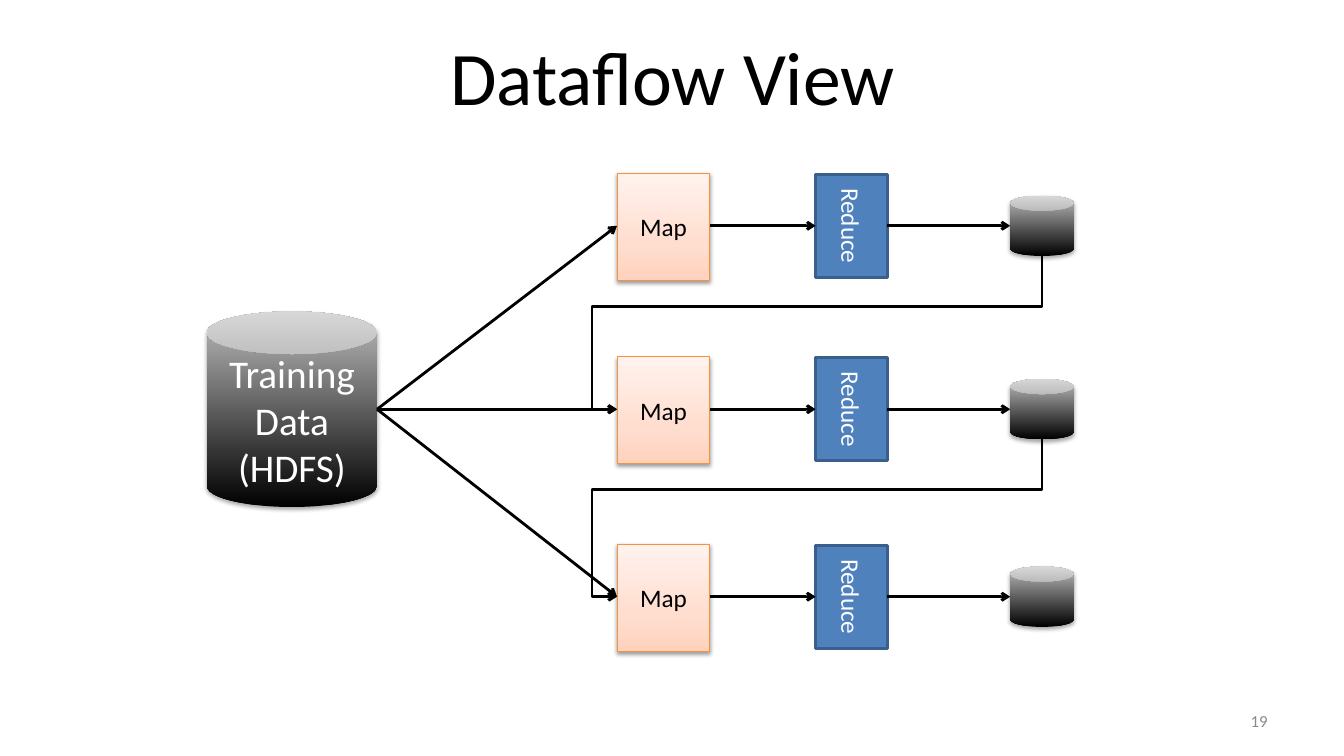
from lxml import etree
from pptx import Presentation
from pptx.dml.color import RGBColor
from pptx.enum.shapes import MSO_CONNECTOR, MSO_SHAPE
from pptx.enum.text import MSO_ANCHOR, PP_ALIGN
from pptx.oxml.ns import qn
from pptx.util import Inches, Pt

CAN, RECT = MSO_SHAPE.CAN, MSO_SHAPE.RECTANGLE
LINE, ELBOW = MSO_CONNECTOR.STRAIGHT, MSO_CONNECTOR.ELBOW
MIDDLE = MSO_ANCHOR.MIDDLE
CENTER, RIGHT = PP_ALIGN.CENTER, PP_ALIGN.RIGHT

# Content
TITLE = "Dataflow View"
SOURCE = "Training Data\n(HDFS)"
STEPS = ("Map", "Reduce")
PAGE = "19"
ROWS = [2.24, 4.06, 5.92]  # centre line of each pass

FONT = "Calibri"
COLORS = {"black": "000000", "white": "FFFFFF", "gray": "898989",
          "blue": "4F81BD", "navy": "3A5F8C", "orange": "F69240"}
STEEL = [(0, "000000"), (100, "BDBDBD")]
PEACH = [(0, "FFD2BD"), (35, "FFDED0"), (100, "FFF2ED")]

# Columns: left edge, width, height
DATA = (2.05, 1.69, 1.94)
MAP = (6.12, 0.92, 1.06)
REDUCE = (8.09, 0.71, 1.02)
STORE = (10.02, 0.63, 0.6)
LOOP = 0.25  # how far a loop runs left of the map
DROP = 0.5   # how far a loop falls below a store

prs = Presentation()
prs.slide_width, prs.slide_height = Inches(13.33), Inches(7.5)
slide = prs.slides.add_slide(prs.slide_layouts[5])
shapes = slide.shapes


def color(name):
    return RGBColor.from_string(COLORS[name])


def add(parent, tag, **attrs):
    return etree.SubElement(parent, qn(tag), attrs)


def write(shape, text, size, ink, align=CENTER):
    frame = shape.text_frame
    frame.text = text
    frame.word_wrap = True
    frame.vertical_anchor = MIDDLE
    for para in frame.paragraphs:
        para.alignment = align
        for run in para.runs:
            run.font.name, run.font.size = FONT, Pt(size)
            run.font.color.rgb = color(ink)


def place(shape, left, top, width, height):
    shape.left, shape.top = Inches(left), Inches(top)
    shape.width, shape.height = Inches(width), Inches(height)


def box(kind, col, mid):
    left, width, height = col
    shape = shapes.add_shape(kind, Inches(left), Inches(mid - height / 2),
                             Inches(width), Inches(height))
    shape.shadow.inherit = False
    shape.line.fill.background()
    return shape


def shade(shape, stops, alpha, dist):
    """Upward gradient and a soft shadow below."""
    shape.fill.gradient()
    shape.fill.gradient_angle = 90
    props = shape._element.spPr
    ramp = props.find(".//" + qn("a:gsLst"))
    ramp.clear()
    for pos, tone in stops:
        stop = add(ramp, "a:gs", pos=str(pos * 1000))
        add(stop, "a:srgbClr", val=tone)
    cast = add(props.find(qn("a:effectLst")), "a:outerShdw",
               blurRad=str(Pt(3.1)), dist=str(Pt(dist)),
               dir="5400000", rotWithShape="0")
    tone = add(cast, "a:srgbClr", val=COLORS["black"])
    add(tone, "a:alpha", val=str(alpha * 1000))


def outline(shape, name, width):
    shape.line.color.rgb = color(name)
    shape.line.width = Pt(width)


def arrow(x1, y1, x2, y2, kind=LINE):
    link = shapes.add_connector(kind, Inches(x1), Inches(y1),
                                Inches(x2), Inches(y2))
    outline(link, "black", 2)
    add(link.line._get_or_add_ln(), "a:tailEnd", type="arrow")
    add(link._element.spPr, "a:effectLst")
    return link


def loop(x1, y1, x2, y2):
    """Elbow that drops, runs left past x2 and comes back in: a quarter turn."""
    run, fall = x1 - x2, y2 - y1
    cx, cy = (x1 + x2) / 2, (y1 + y2) / 2
    link = arrow(cx - fall / 2, cy - run / 2,
                 cx + fall / 2, cy + run / 2, ELBOW)
    props = link._element.spPr
    props.find(qn("a:xfrm")).set("rot", "5400000")
    geom = props.find(qn("a:prstGeom"))
    geom.set("prst", "bentConnector4")
    guides = geom.find(qn("a:avLst"))
    for name, part in (("adj1", DROP / fall), ("adj2", 1 + LOOP / run)):
        add(guides, "a:gd", name=name, fmla=f"val {round(part * 100000)}")


# Title
place(shapes.title, 1.67, 0.12, 10, 1.25)
write(shapes.title, TITLE, 54, "black")

# Training data
data = box(CAN, DATA, ROWS[1])
shade(data, STEEL, 35, 1.8)
write(data, SOURCE, 28, "white")

# One map, reduce and store per pass
for mid in ROWS:
    card = box(RECT, MAP, mid + 0.01)
    shade(card, PEACH, 38, 1.6)
    outline(card, "orange", 0.75)
    write(card, STEPS[0], 18, "black")

    left, width, height = REDUCE
    side = (left + (width - height) / 2, height, width)
    block = box(RECT, side, mid)
    block.rotation = 90
    block.fill.solid()
    block.fill.fore_color.rgb = color("blue")
    outline(block, "navy", 2)
    write(block, STEPS[1], 18, "white")

    shade(box(CAN, STORE, mid), STEEL, 35, 1.8)
    for start, end in ((MAP, REDUCE), (REDUCE, STORE)):
        arrow(start[0] + start[1], mid, end[0], mid)

# Data into every pass
for mid in ROWS:
    arrow(DATA[0] + DATA[1], ROWS[1], MAP[0], mid)

# Each store into the next pass
for mid, below in zip(ROWS, ROWS[1:]):
    loop(STORE[0] + STORE[1] / 2, mid + STORE[2] / 2, MAP[0], below)

# Page number
page = shapes.add_textbox(0, 0, 0, 0)
write(page, PAGE, 12, "gray", RIGHT)
place(page, 9.56, 6.95, 3.11, 0.4)

prs.save("out.pptx")
